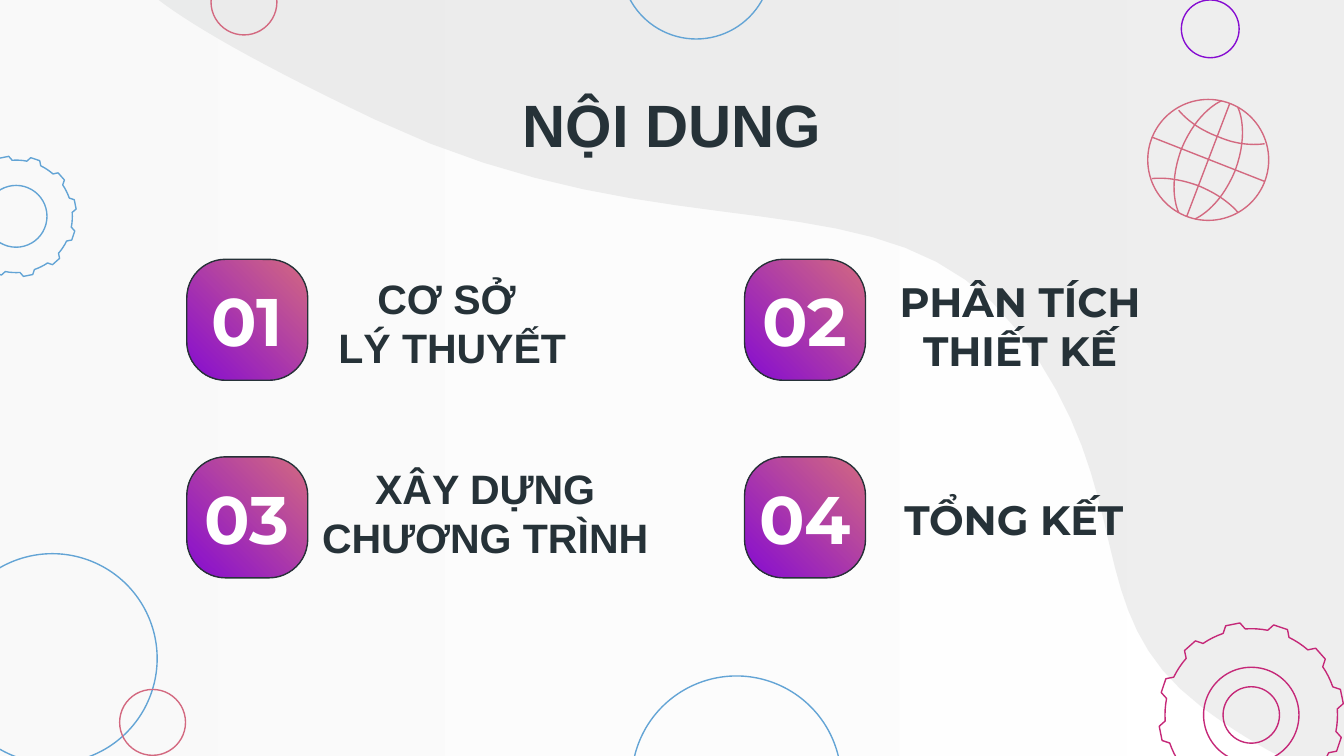
from dataclasses import dataclass
from math import cos, radians, sin

from lxml.etree import SubElement
from pptx import Presentation
from pptx.dml.color import RGBColor as RGB
from pptx.enum.shapes import MSO_CONNECTOR as CONN, MSO_SHAPE as SHAPE
from pptx.enum.text import MSO_ANCHOR as ANCHOR, PP_ALIGN as ALIGN
from pptx.oxml.ns import qn
from pptx.util import Inches, Pt


@dataclass(frozen=True)
class Theme:
    ink: str = "263238"
    white: str = "FFFFFF"
    mist: str = "F3F3F3"
    gray: str = "D6D7D7"
    blue: str = "63A4D5"
    purple: str = "860CD1"
    rose: str = "D36980"
    magenta: str = "C52878"
    sans: str = "Arial"
    display: str = "Montserrat"
    title: int = 32
    number: int = 36
    label: int = 22
    line: float = 0.75
    alpha: int = 41


T = Theme()
BOX = 0.9


def rgb(color):
    return RGB.from_string(color)


def set_line(s, color):
    s.line.color.rgb = rgb(color)
    s.line.width = Pt(T.line)


def set_gradient(s, colors, angle):
    s.fill.gradient()
    s.fill.gradient_angle = angle
    for stop, color in zip(s.fill.gradient_stops, colors):
        stop.color.rgb = rgb(color)


def set_alpha(s):
    for clr in list(s.element.spPr.iter(qn("a:srgbClr"))):
        SubElement(clr, qn("a:alpha"), val=str(T.alpha * 1000))


def curve(*points, steps=16):
    result = [points[0]]
    for i in range(0, len(points) - 1, 3):
        a, b, c, d = points[i:i + 4]
        for n in range(1, steps + 1):
            t = n / steps
            u = 1 - t
            result.append(tuple(
                u**3 * p0 + 3 * u * u * t * p1 + 3 * u * t * t * p2 + t**3 * p3
                for p0, p1, p2, p3 in zip(a, b, c, d)))
    return result


def add_outline(slide, points, line=None, close=True):
    start, *rest = [(Inches(x), Inches(y)) for x, y in points]
    builder = slide.shapes.build_freeform(*start)
    builder.add_line_segments(rest, close=close)
    s = builder.convert_to_shape()
    s.shadow.inherit = False
    s.fill.background()
    if line:
        set_line(s, line)
    else:
        s.line.fill.background()
    return s


def add_preset(slide, kind, x, y, w, h):
    s = slide.shapes.add_shape(kind, Inches(x), Inches(y), Inches(w), Inches(h))
    s.shadow.inherit = False
    return s


def add_circle(slide, x, y, size, color):
    s = add_preset(slide, SHAPE.OVAL, x, y, size, size)
    s.fill.background()
    set_line(s, color)


def add_gear(slide, cx, cy, radius, holes, color, teeth=12):
    profile = [(-7.5, 0.93), (-4.5, 1), (4.5, 1), (7.5, 0.93),
               (11.25, 0.93), (15, 0.93), (18.75, 0.93)]
    points = []
    for tooth in range(teeth):
        for offset, scale in profile:
            angle = radians(tooth * 360 / teeth - 11.5 + offset)
            points.append((cx + radius * scale * cos(angle),
                           cy + radius * scale * sin(angle)))
    add_outline(slide, points, color)
    for hole in holes:
        add_circle(slide, cx - hole / 2, cy - hole / 2, hole, color)


def add_line(slide, x1, y1, x2, y2, color):
    s = slide.shapes.add_connector(
        CONN.STRAIGHT, Inches(x1), Inches(y1), Inches(x2), Inches(y2))
    set_line(s, color)
    SubElement(s.element.spPr, qn("a:effectLst"))


def add_globe(slide):
    add_circle(slide, 8.54, 0.74, 0.9, T.rose)
    add_line(slide, 9.15, 0.77, 8.83, 1.61, T.rose)
    add_line(slide, 8.57, 1.02, 9.41, 1.35, T.rose)
    for points in (
        [(8.77, 1.58), (8.77, 1.58), (8.68, 1.41), (8.79, 1.11),
         (8.91, 0.82), (9.09, 0.75), (9.09, 0.75)],
        [(8.89, 1.63), (8.89, 1.63), (9.07, 1.56), (9.19, 1.27),
         (9.3, 0.97), (9.21, 0.8), (9.21, 0.8)],
        [(9.21, 1.58), (9.16, 1.52), (9.06, 1.44), (8.91, 1.38),
         (8.77, 1.33), (8.65, 1.32), (8.57, 1.33)],
        [(8.77, 0.82), (8.82, 0.88), (8.91, 0.96), (9.07, 1.02),
         (9.21, 1.08), (9.33, 1.08), (9.41, 1.07)],
    ):
        add_outline(slide, curve(*points), T.rose, close=False)


def add_background(slide):
    s = add_preset(slide, SHAPE.RECTANGLE, -0.07, -0.07, 10.14, 5.77)
    set_gradient(s, (T.white, T.mist), 180)
    set_alpha(s)
    s.line.fill.background()
    wave = curve((10.13, 5.88), (9.81, 5.78), (9.39, 5.6), (8.94, 5.26),
                 (8, 4.55), (8.51, 3.69), (7.57, 2.46),
                 (6.62, 1.23), (5.02, 1.95), (2.79, 0.89),
                 (1.76, 0.4), (1.28, 0.1), (1.07, -0.09))
    s = add_outline(slide, [(10.28, -0.25), (10.28, 5.88), *wave, (1.07, -0.25)])
    s.fill.solid()
    s.fill.fore_color.rgb = rgb(T.gray)
    set_alpha(s)


def add_decor(slide):
    for x, y, size, color in (
        (-0.39, 4.12, 1.56, T.blue),
        (8.79, 0, 0.43, T.purple),
        (1.57, -0.23, 0.49, T.rose),
        (4.62, -0.83, 1.12, T.blue),
        (4.7, 5.03, 1.56, T.blue),
        (0.89, 5.13, 0.49, T.rose),
    ):
        add_circle(slide, x, y, size, color)
    add_gear(slide, 0.12, 1.61, 0.45, [0.46], T.blue)
    add_gear(slide, 9.31, 5.32, 0.69, [0.71, 0.42], T.magenta)


def add_text(slide, lines, box, size, font, color=T.ink, align=ALIGN.CENTER):
    s = slide.shapes.add_textbox(*map(Inches, box))
    tf = s.text_frame
    tf.word_wrap = True
    tf.vertical_anchor = ANCHOR.MIDDLE
    tf.margin_left = tf.margin_right = Inches(0.1)
    tf.margin_top = tf.margin_bottom = Inches(0.1)
    p = tf.paragraphs[0]
    p.alignment = align
    for i, line in enumerate(lines):
        if i:
            p.add_line_break()
        r = p.add_run()
        r.text = line
        r.font.size = Pt(size)
        r.font.name = font
        r.font.bold = True
        r.font.color.rgb = rgb(color)


def add_item(slide, index, lines, box, font, align):
    row, column = divmod(index, 2)
    x, y = 1.39 + 4.15 * column, 1.93 + 1.47 * row
    s = add_preset(slide, SHAPE.ROUNDED_RECTANGLE, x, y, BOX, BOX)
    s.adjustments[0] = 0.32
    set_gradient(s, (T.rose, T.purple), 225)
    set_line(s, T.ink)
    add_text(slide, [f"{index + 1:02}"], (x, y + 0.1, BOX, 0.7),
             T.number, T.display, T.white)
    add_text(slide, lines, box, T.label, font, align=align)


def main():
    prs = Presentation()
    prs.slide_width = Inches(10)
    prs.slide_height = Inches(10 * 9 / 16)
    slide = prs.slides.add_slide(prs.slide_layouts[6])
    add_background(slide)
    add_decor(slide)
    add_text(slide, ["NỘI DUNG"], (0.78, 0.72, 8.44, 0.4), T.title, T.sans)
    items = (
        (["CƠ SỞ ", "LÝ THUYẾT"], (2.4, 2.01, 1.93, 0.78), T.sans, ALIGN.CENTER),
        (["PHÂN TÍCH THIẾT KẾ"], (6.55, 2.02, 2.08, 0.81), T.display, ALIGN.CENTER),
        (["XÂY DỰNG CHƯƠNG TRÌNH"], (2.29, 3.43, 2.64, 0.77), T.sans, ALIGN.CENTER),
        (["TỔNG KẾT"], (6.63, 3.62, 1.88, 0.48), T.display, ALIGN.LEFT),
    )
    for index, item in enumerate(items):
        add_item(slide, index, *item)
    add_globe(slide)
    prs.save("out.pptx")


if __name__ == "__main__":
    main()
